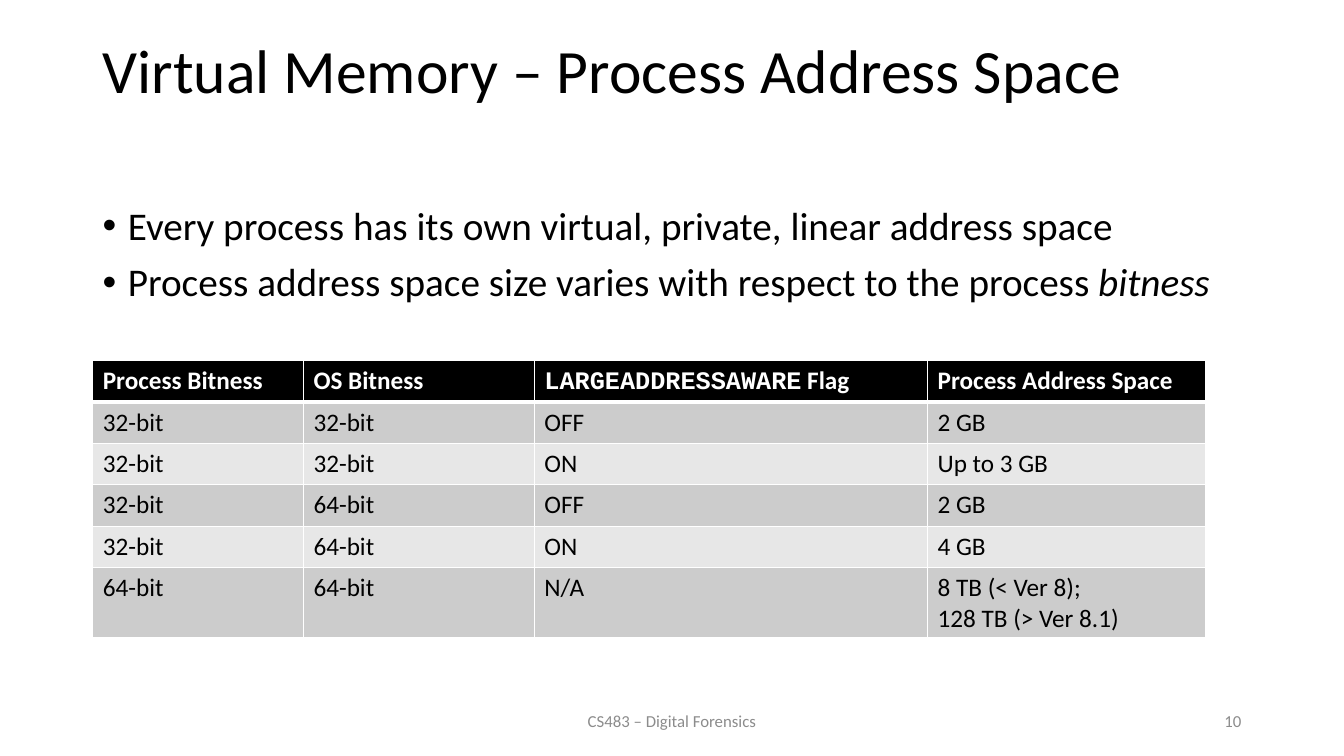
from lxml import etree
from pptx import Presentation, util as u
from pptx.dml.color import RGBColor
from pptx.enum import text
from pptx.oxml.ns import qn

# Content: a paragraph is a list of (text, format) runs
TITLE = "Virtual Memory – Process Address Space"
BULLETS = [
    [("Every process has its own virtual, private, linear address space", {})],
    [("Process address space size varies with respect to the process ", {}),
     ("bitness", {"italic": True})],
]
HEADER = [
    [("Process Bitness", {})],
    [("OS Bitness", {})],
    [("LARGEADDRESSAWARE", {"font": "Courier New"}), (" Flag", {})],
    [("Process Address Space", {})],
]
ROWS = [
    ("32-bit", "32-bit", "OFF", "2 GB"),
    ("32-bit", "32-bit", "ON", "Up to 3 GB"),
    ("32-bit", "64-bit", "OFF", "2 GB"),
    ("32-bit", "64-bit", "ON", "4 GB"),
    ("64-bit", "64-bit", "N/A", "8 TB (< Ver 8);\n128 TB (> Ver 8.1)"),
]
FOOTER, NUMBER = "CS483 – Digital Forensics", "10"

COLORS = {"text": "000000", "muted": "8C8C8C", "white": "FFFFFF",
          "header": "000000", "odd": "CCCCCC", "even": "E7E7E7"}
W, H, LEFT = 13.33, 7.5, 0.92
BODY_W = W - 2 * LEFT
FOOT_Y, FOOT_H, FOOT_W, NUM_W = 6.95, 0.4, 4.5, 3
COLS, ROW_H, LAST_H = (2.09, 2.29, 3.9, 2.76), 0.41, 0.7
ALIGN, ANCHOR = text.PP_ALIGN, text.MSO_ANCHOR


def write(tf, paragraphs, size=18, color="text", bold=False, align=ALIGN.LEFT,
          spacing=None, before=0, bullet=False):
    """Fill a text frame with strings or lists of (text, format) runs."""
    tf.word_wrap = True
    for i, runs in enumerate(paragraphs):
        p = tf.add_paragraph() if i else tf.paragraphs[0]
        p.alignment, p.line_spacing, p.space_before = align, spacing, u.Pt(before)
        if bullet:
            pPr = p._p.get_or_add_pPr()
            pPr.set("marL", str(u.Inches(0.25)))
            pPr.set("indent", str(u.Inches(-0.25)))
            etree.SubElement(pPr, qn("a:buFont"), typeface="Arial")
            etree.SubElement(pPr, qn("a:buChar"), char="•")
        for words, fmt in [(runs, {})] if isinstance(runs, str) else runs:
            r = p.add_run()
            r.text = words
            f = r.font
            f.name, f.size = fmt.get("font", "Calibri"), u.Pt(size)
            f.bold, f.italic = bold, fmt.get("italic", False)
            f.color.rgb = RGBColor.from_string(COLORS[color])


def box(x, y, w, h, paragraphs, anchor=ANCHOR.MIDDLE, **fmt):
    tf = s.shapes.add_textbox(*map(u.Inches, (x, y, w, h))).text_frame
    tf.vertical_anchor = anchor
    write(tf, paragraphs, **fmt)


def borders(cell, **widths):
    """Draw white cell borders; widths in points by side."""
    tcPr = cell._tc.get_or_add_tcPr()
    for i, (side, pt) in enumerate(widths.items()):
        ln = etree.Element(qn("a:ln" + side), w=str(u.Pt(pt)))
        fill = etree.SubElement(ln, qn("a:solidFill"))
        etree.SubElement(fill, qn("a:srgbClr"), val=COLORS["white"])
        tcPr.insert(i, ln)


prs = Presentation()
prs.slide_width, prs.slide_height = u.Inches(W), u.Inches(H)
s = prs.slides.add_slide(prs.slide_layouts[6])

# Title and bullets
box(LEFT, 0, BODY_W, 1.45, [TITLE], size=44, spacing=0.9)
box(LEFT, 2, BODY_W, 4.76, BULLETS, anchor=ANCHOR.TOP, size=28,
    spacing=0.9, before=10, bullet=True)

# Footer and slide number
box((W - FOOT_W) / 2, FOOT_Y, FOOT_W, FOOT_H, [FOOTER], size=12,
    color="muted", align=ALIGN.CENTER)
box(W - LEFT - NUM_W, FOOT_Y, NUM_W, FOOT_H, [NUMBER], size=12,
    color="muted", align=ALIGN.RIGHT)

# Table of address space sizes
grid = [[[runs] for runs in HEADER]] + [[c.split("\n") for c in row] for row in ROWS]
heights = [ROW_H] * len(ROWS) + [LAST_H]
table = s.shapes.add_table(len(grid), len(COLS), *map(
    u.Inches, (LEFT, 3.58, sum(COLS), sum(heights)))).table
for column, w in zip(table.columns, COLS):
    column.width = u.Inches(w)
for i, (row, h) in enumerate(zip(grid, heights)):
    table.rows[i].height = u.Inches(h)
    head = i == 0
    shade = "header" if head else ("even", "odd")[i % 2]
    for j, paragraphs in enumerate(row):
        cell = table.cell(i, j)
        cell.fill.solid()
        cell.fill.fore_color.rgb = RGBColor.from_string(COLORS[shade])
        borders(cell, L=1, R=1, T=3 if i == 1 else 1, B=3 if head else 1)
        write(cell.text_frame, paragraphs, bold=head,
              color="white" if head else "text")

prs.save("out.pptx")
